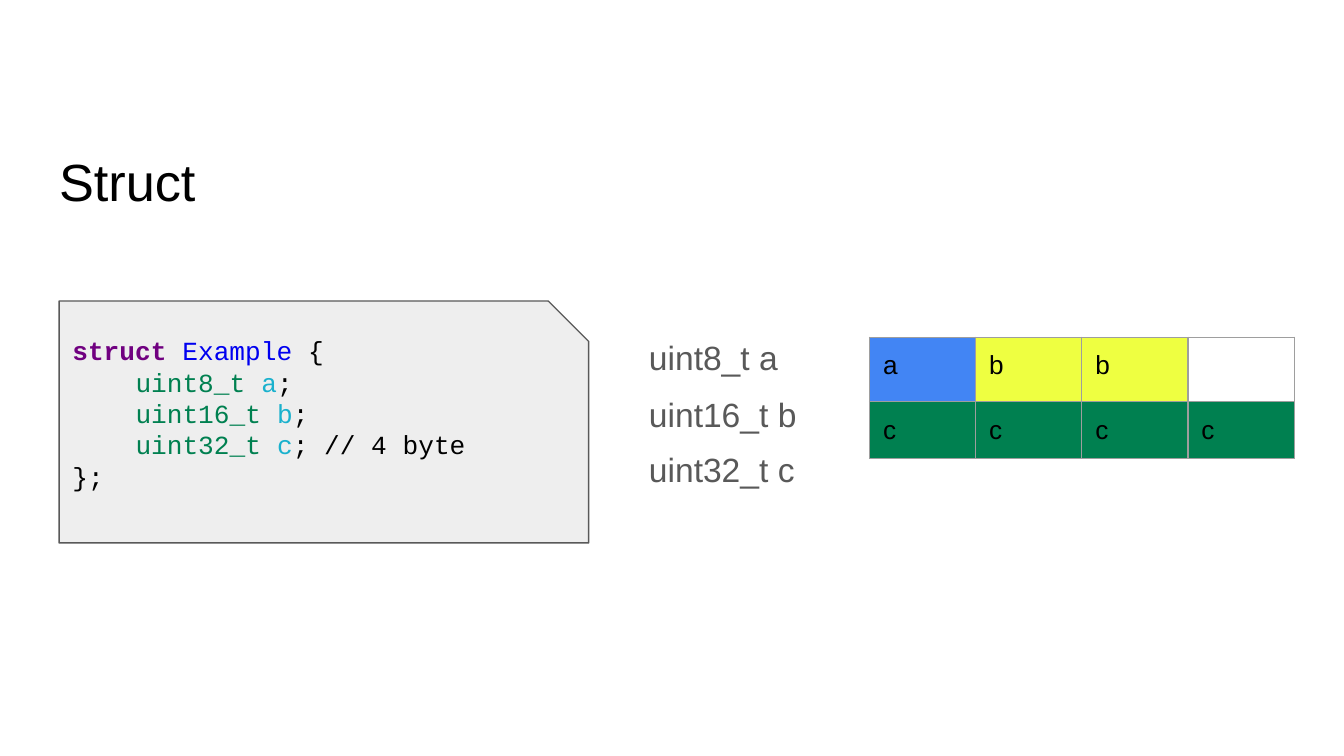
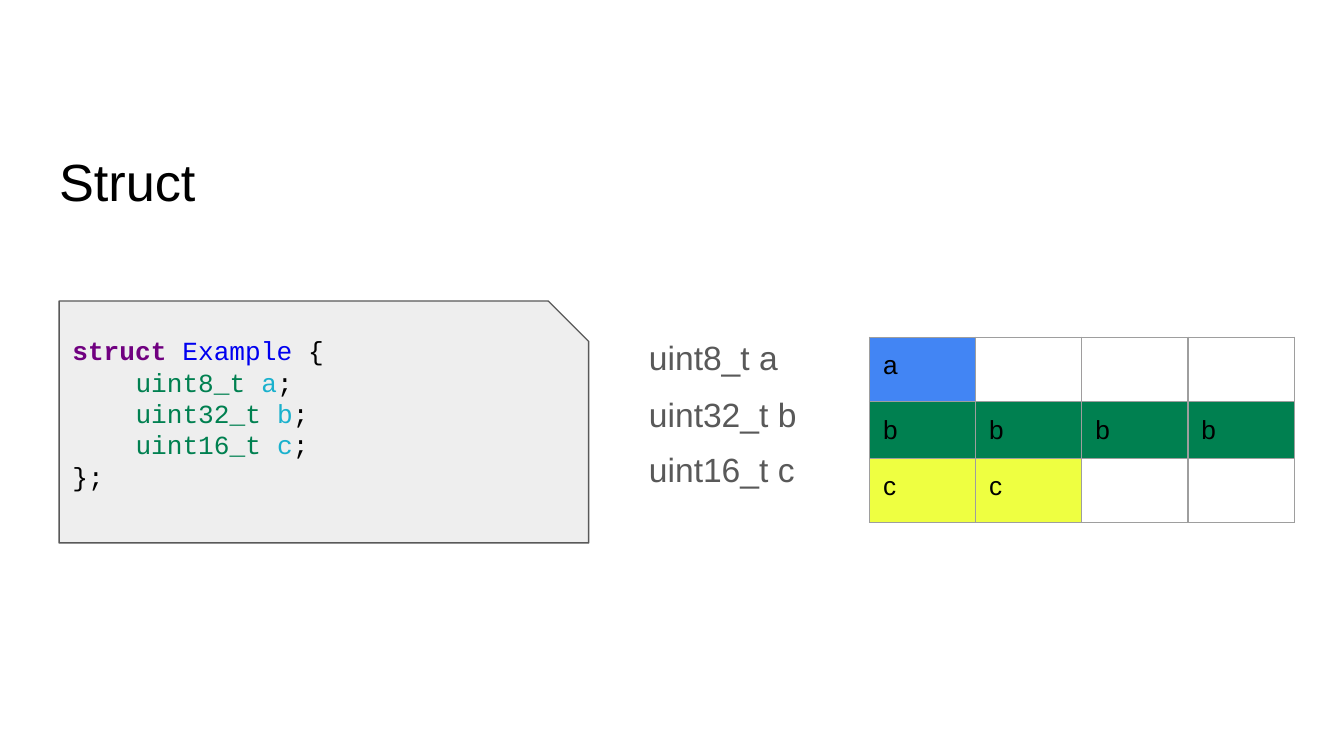
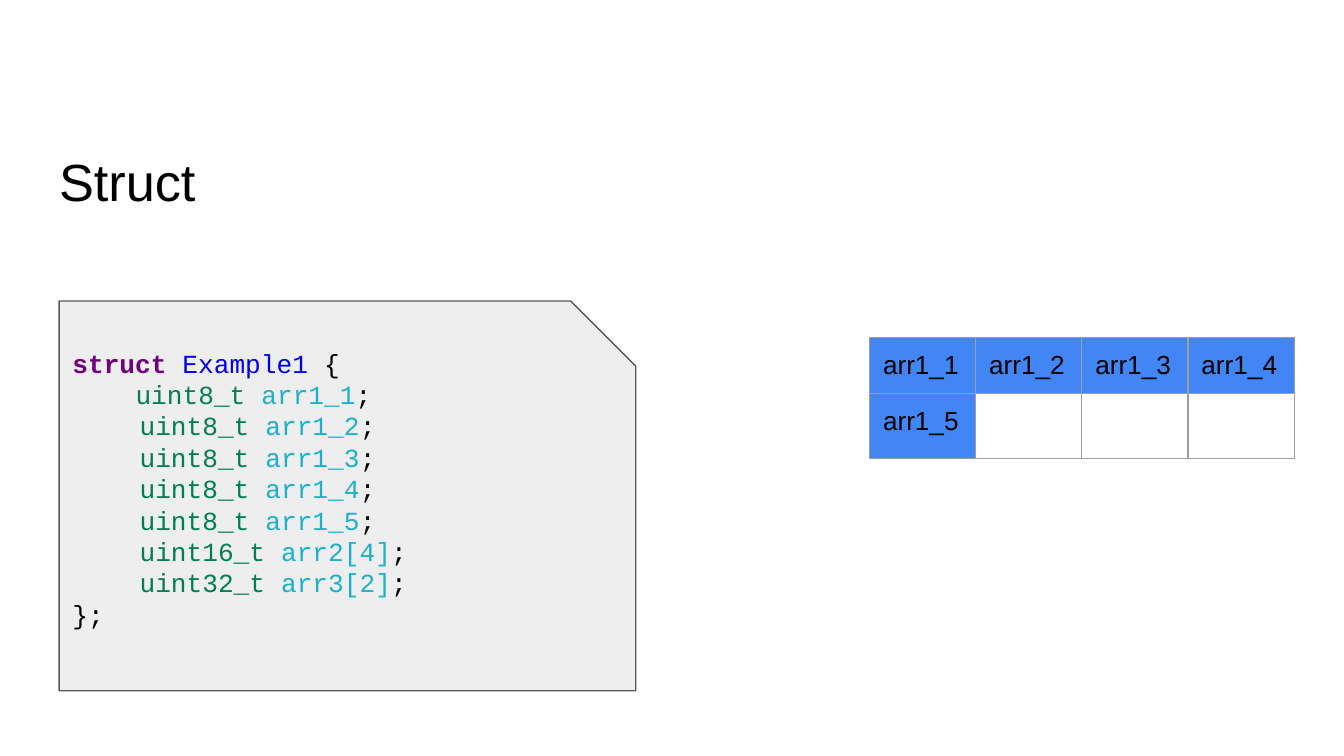
from lxml.etree import SubElement
from pptx import Presentation
from pptx.dml.color import RGBColor
from pptx.enum.shapes import MSO_SHAPE as Shape
from pptx.enum.text import MSO_ANCHOR as Anchor, MSO_AUTO_SIZE as AutoSize, PP_ALIGN as Align
from pptx.oxml.ns import qn
from pptx.util import Inches, Pt

BLACK, GRAY, WHITE = "000000", "595959", "FFFFFF"
CODE_FILL, BORDER = "EEEEEE", "9E9E9E"
KEYWORD, STRUCT_NAME, TYPE_NAME, MEMBER = "700080", "0000F0", "008050", "1AB1CD"
TYPE_FILLS = {"uint8_t": "4285F4", "uint16_t": "EEFF41", "uint32_t": "008050"}

TITLE_FONT = {"name": "Arial", "size": Pt(28)}
LABEL_FONT = {"name": "Arial", "size": Pt(18)}
CELL_FONT = {"name": "Arial", "size": Pt(14)}
CODE_FONT = {"name": "Courier New", "size": Pt(14), "bold": False}
KEYWORD_FONT = {**CODE_FONT, "bold": True}

FRAME_FORMAT = {
    "word_wrap": True, "auto_size": AutoSize.NONE, "vertical_anchor": Anchor.TOP,
    "margin_left": Inches(0.1), "margin_right": Inches(0.1),
    "margin_top": Inches(0.1), "margin_bottom": Inches(0.1),
}
CELL_FORMAT = {key: value for key, value in FRAME_FORMAT.items()
               if key.startswith("margin") or key == "vertical_anchor"}

SLIDE_WIDTH = 10
FOUR_SPACES, TAB_STOP = 0.47, 0.5
LABEL_TOPS = (2.41, 2.83, 3.24)
COLUMN_WIDTH, ROW_HEIGHT = 0.79, 0.42


def color(value):
    return RGBColor.from_string(value)


def apply_format(target, values):
    for attribute, value in values.items():
        setattr(target, attribute, value)


def add_run(paragraph, text, font, ink):
    run = paragraph.add_run()
    run.text = text
    apply_format(run.font, font)
    run.font.color.rgb = color(ink)


def box(left, top, width, height):
    return [Inches(length) for length in (left, top, width, height)]


def set_title(slide, text):
    title = slide.shapes.title
    title.left, title.top, title.width, title.height = box(0.34, 0.81, 9.32, 0.87)
    frame = title.text_frame
    apply_format(frame, {**FRAME_FORMAT, "vertical_anchor": Anchor.BOTTOM})
    frame.paragraphs[0].alignment = Align.LEFT
    add_run(frame.paragraphs[0], text, TITLE_FONT, BLACK)


def add_code_line(frame, runs, indent=0):
    """Add one line of code; runs are (text, colour) or (text, colour, font)."""
    line = frame.paragraphs[0]
    if line.runs:
        line = frame.add_paragraph()
    line.alignment = Align.LEFT
    if indent:
        line._p.get_or_add_pPr().set("indent", str(Inches(indent)))
    for text, ink, *font in runs:
        add_run(line, text, font[0] if font else CODE_FONT, ink)


def add_struct_code(slide, name, fields, width, height):
    card = slide.shapes.add_shape(Shape.SNIP_1_RECTANGLE, *box(0.44, 2.24, width, height))
    card.adjustments[0] = 0.167
    card.shadow.inherit = False
    card.fill.solid()
    card.fill.fore_color.rgb = color(CODE_FILL)
    card.line.color.rgb = color(GRAY)
    card.line.width = Pt(0.75)
    frame = card.text_frame
    apply_format(frame, FRAME_FORMAT)
    add_code_line(frame, [("struct ", KEYWORD, KEYWORD_FONT), (name, STRUCT_NAME), (" {", BLACK)])
    for kind, member, indent, ending in fields:
        add_code_line(frame, [(f"{kind} ", TYPE_NAME), (member, MEMBER), (ending, BLACK)], indent)
    add_code_line(frame, [("};", BLACK)])


def add_field_labels(slide, fields):
    for top, (kind, member, *_) in zip(LABEL_TOPS, fields):
        label = slide.shapes.add_textbox(*box(4.73, top, 1.41, 0.23))
        apply_format(label.text_frame, FRAME_FORMAT)
        add_run(label.text_frame.paragraphs[0], f"{kind} {member}", LABEL_FONT, GRAY)


def add_borders(cell):
    properties = cell._tc.get_or_add_tcPr()
    for side in ("a:lnL", "a:lnR", "a:lnT", "a:lnB"):
        line = SubElement(properties, qn(side), w=str(Pt(0.75)))
        SubElement(SubElement(line, qn("a:solidFill")), qn("a:srgbClr"), val=BORDER)


def set_empty_font(paragraph):
    """Give a paragraph without text the font that sets its line height."""
    ending = SubElement(paragraph._p, qn("a:endParaRPr"), sz="1800")
    SubElement(ending, qn("a:latin"), typeface="Arial")


def add_memory_table(slide, fields, memory):
    """Draw one cell per byte, filled by the type of the member stored there."""
    fills = {member: TYPE_FILLS[kind] for kind, member, *_ in fields}
    rows, columns = len(memory), len(memory[0])
    table = slide.shapes.add_table(
        rows, columns, *box(6.47, 2.51, columns * COLUMN_WIDTH, rows * ROW_HEIGHT)).table
    for column in table.columns:
        column.width = Inches(COLUMN_WIDTH)
    for row, members in enumerate(memory):
        table.rows[row].height = Inches(ROW_HEIGHT)
        for column, member in enumerate(members):
            cell = table.cell(row, column)
            apply_format(cell, CELL_FORMAT)
            add_borders(cell)
            cell.fill.solid()
            cell.fill.fore_color.rgb = color(fills.get(member, WHITE))
            paragraph = cell.text_frame.paragraphs[0]
            if member:
                add_run(paragraph, member, CELL_FONT, BLACK)
            else:
                set_empty_font(paragraph)


def add_struct_slide(deck, name, fields, memory, code_size=(3.94, 1.8), labelled=True):
    slide = deck.slides.add_slide(deck.slide_layouts[5])
    set_title(slide, "Struct")
    add_struct_code(slide, name, fields, *code_size)
    add_memory_table(slide, fields, memory)
    if labelled:
        add_field_labels(slide, fields)


def main():
    deck = Presentation()
    deck.slide_width = Inches(SLIDE_WIDTH)
    deck.slide_height = Inches(SLIDE_WIDTH * 9 / 16)

    add_struct_slide(
        deck, "Example",
        [("uint8_t", "a", FOUR_SPACES, ";"),
         ("uint16_t", "b", FOUR_SPACES, ";"),
         ("uint32_t", "c", FOUR_SPACES, "; // 4 byte")],
        [["a", "b", "b", ""], ["c"] * 4])

    add_struct_slide(
        deck, "Example",
        [("uint8_t", "a", FOUR_SPACES, ";"),
         ("uint32_t", "b", FOUR_SPACES, ";"),
         ("uint16_t", "c", FOUR_SPACES, ";")],
        [["a", "", "", ""], ["b"] * 4, ["c", "c", "", ""]])

    bytes_1 = [f"arr1_{number}" for number in range(1, 6)]
    array_fields = [("uint8_t", member, TAB_STOP, ";") for member in bytes_1]
    array_fields[0] = ("uint8_t", bytes_1[0], FOUR_SPACES, ";")
    array_fields += [("uint16_t", "arr2[4]", TAB_STOP, ";"),
                     ("uint32_t", "arr3[2]", TAB_STOP, ";")]
    add_struct_slide(
        deck, "Example1", array_fields,
        [bytes_1[:4], [bytes_1[4], "", "", ""]],
        code_size=(4.29, 2.9), labelled=False)

    deck.save("out.pptx")


if __name__ == "__main__":
    main()
